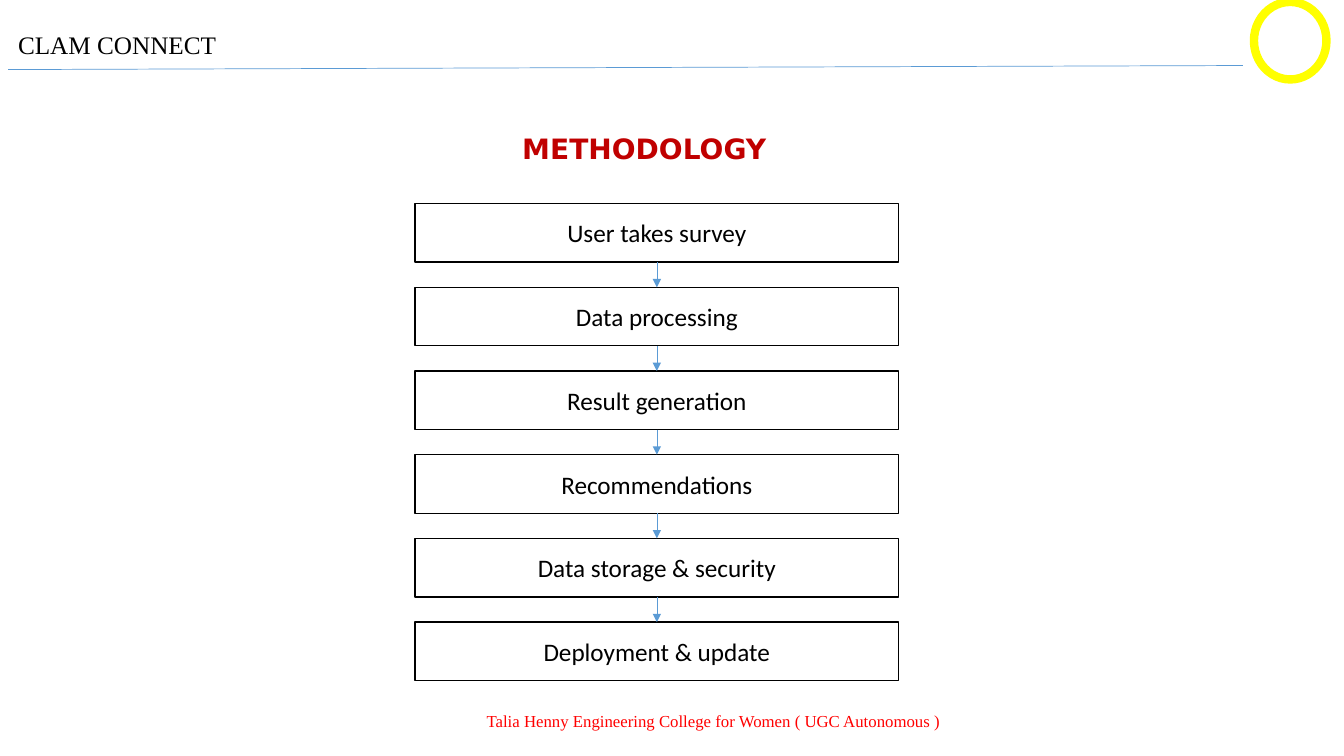
"""Build the methodology flow slide."""
import dataclasses
import typing

import lxml.etree
import pptx
import pptx.dml.color
import pptx.enum.shapes
import pptx.enum.text
import pptx.oxml.ns
import pptx.util

Pt = pptx.util.Pt
RGB = pptx.dml.color.RGBColor
Align = pptx.enum.text.PP_ALIGN
Anchor = pptx.enum.text.MSO_ANCHOR
Kind = pptx.enum.shapes.MSO_SHAPE


@dataclasses.dataclass(frozen=True)
class Theme:
    white: RGB = RGB(0xFF, 0xFF, 0xFF)
    black: RGB = RGB(0, 0, 0)
    blue: RGB = RGB(0x5B, 0x9B, 0xD5)
    yellow: RGB = RGB(0xFF, 0xFF, 0)
    crimson: RGB = RGB(0xC0, 0, 0)
    red: RGB = RGB(0xFF, 0, 0)
    serif: str = "Times New Roman"
    sans: str = "Calibri"
    heading: str = "DejaVu Sans"
    title_size: float = 20
    body_size: float = 18
    footer_size: float = 12


@dataclasses.dataclass(frozen=True)
class Box:
    left: float
    top: float
    width: float
    height: float


@dataclasses.dataclass(frozen=True)
class Label:
    text: str
    font: str
    size: float
    color: RGB
    bold: bool = False
    align: Align = Align.LEFT
    anchor: Anchor = Anchor.TOP


THEME = Theme()
STEPS = ("User takes survey", "Data processing", "Result generation",
         "Recommendations", "Data storage & security", "Deployment & update")
FIRST_STEP = Box(296.4, 145.4, 345.6, 41.8)
STEP_PITCH = 59.8


def apply_format(target: typing.Any, values: dict[str, typing.Any]) -> None:
    for name, value in values.items():
        setattr(target, name, value)


def place(shape: typing.Any, box: Box) -> None:
    apply_format(shape, {name: Pt(value) for name, value in dataclasses.asdict(box).items()})


def write_label(shape: typing.Any, label: Label) -> None:
    frame = shape.text_frame
    apply_format(frame, {"word_wrap": True, "vertical_anchor": label.anchor,
                         "auto_size": pptx.enum.text.MSO_AUTO_SIZE.NONE})
    paragraph = frame.paragraphs[0]
    paragraph.alignment = label.align
    run = paragraph.add_run()
    run.text = label.text
    apply_format(run.font, {"name": label.font, "size": Pt(label.size), "bold": label.bold})
    run.font.color.rgb = label.color


def add_label(slide: typing.Any, box: Box, label: Label) -> None:
    shape = slide.shapes.add_textbox(0, 0, 0, 0)
    place(shape, box)
    write_label(shape, label)


def add_outlined(slide: typing.Any, kind: Kind, box: Box, color: RGB, weight: float) -> typing.Any:
    shape = slide.shapes.add_shape(kind, 0, 0, 0, 0)
    place(shape, box)
    shape.shadow.inherit = False
    shape.fill.solid()
    shape.fill.fore_color.rgb = THEME.white
    shape.line.color.rgb = color
    shape.line.width = Pt(weight)
    return shape


def add_line(slide: typing.Any, start: tuple[float, float], end: tuple[float, float],
             arrow: bool = False) -> None:
    connector = slide.shapes.add_connector(
        pptx.enum.shapes.MSO_CONNECTOR.STRAIGHT, *map(Pt, start + end))
    connector.line.color.rgb = THEME.blue
    connector.line.width = Pt(0.5)
    properties = connector.element.spPr
    if arrow:
        outline = properties.find(pptx.oxml.ns.qn("a:ln"))
        lxml.etree.SubElement(outline, pptx.oxml.ns.qn("a:tailEnd"), type="triangle")
    lxml.etree.SubElement(properties, pptx.oxml.ns.qn("a:effectLst"))


def add_flow(slide: typing.Any) -> None:
    center = FIRST_STEP.left + FIRST_STEP.width / 2
    for index, step in enumerate(STEPS):
        box = dataclasses.replace(FIRST_STEP, top=FIRST_STEP.top + index * STEP_PITCH)
        shape = add_outlined(slide, Kind.RECTANGLE, box, THEME.black, 1)
        write_label(shape, Label(step, THEME.sans, THEME.body_size, THEME.black,
                                 align=Align.CENTER, anchor=Anchor.MIDDLE))
        if index:
            add_line(slide, (center, box.top - STEP_PITCH + box.height), (center, box.top), True)


def main() -> None:
    presentation = pptx.Presentation()
    apply_format(presentation, {"slide_width": Pt(960), "slide_height": Pt(540)})
    slide = presentation.slides.add_slide(presentation.slide_layouts.get_by_name("Title Only"))

    title = slide.shapes.title
    place(title, Box(365.8, 90, 244.8, 31.7))
    write_label(title, Label("METHODOLOGY", THEME.heading, THEME.title_size,
                             THEME.crimson, bold=True))
    add_label(slide, Box(318.2, 500.4, 383, 28.8),
              Label("Talia Henny Engineering College for Women ( UGC Autonomous )",
                    THEME.serif, THEME.footer_size, THEME.red,
                    align=Align.CENTER, anchor=Anchor.MIDDLE))
    add_outlined(slide, Kind.OVAL, Box(895.7, 1.4, 51.8, 55.4), THEME.yellow, 6)
    add_line(slide, (5.8, 49.7), (887.8, 46.8))
    add_label(slide, Box(5.8, 17.3, 550, 28.8),
              Label("CLAM CONNECT", THEME.serif, THEME.body_size, THEME.black))
    add_flow(slide)
    presentation.save("out.pptx")


if __name__ == "__main__":
    main()
